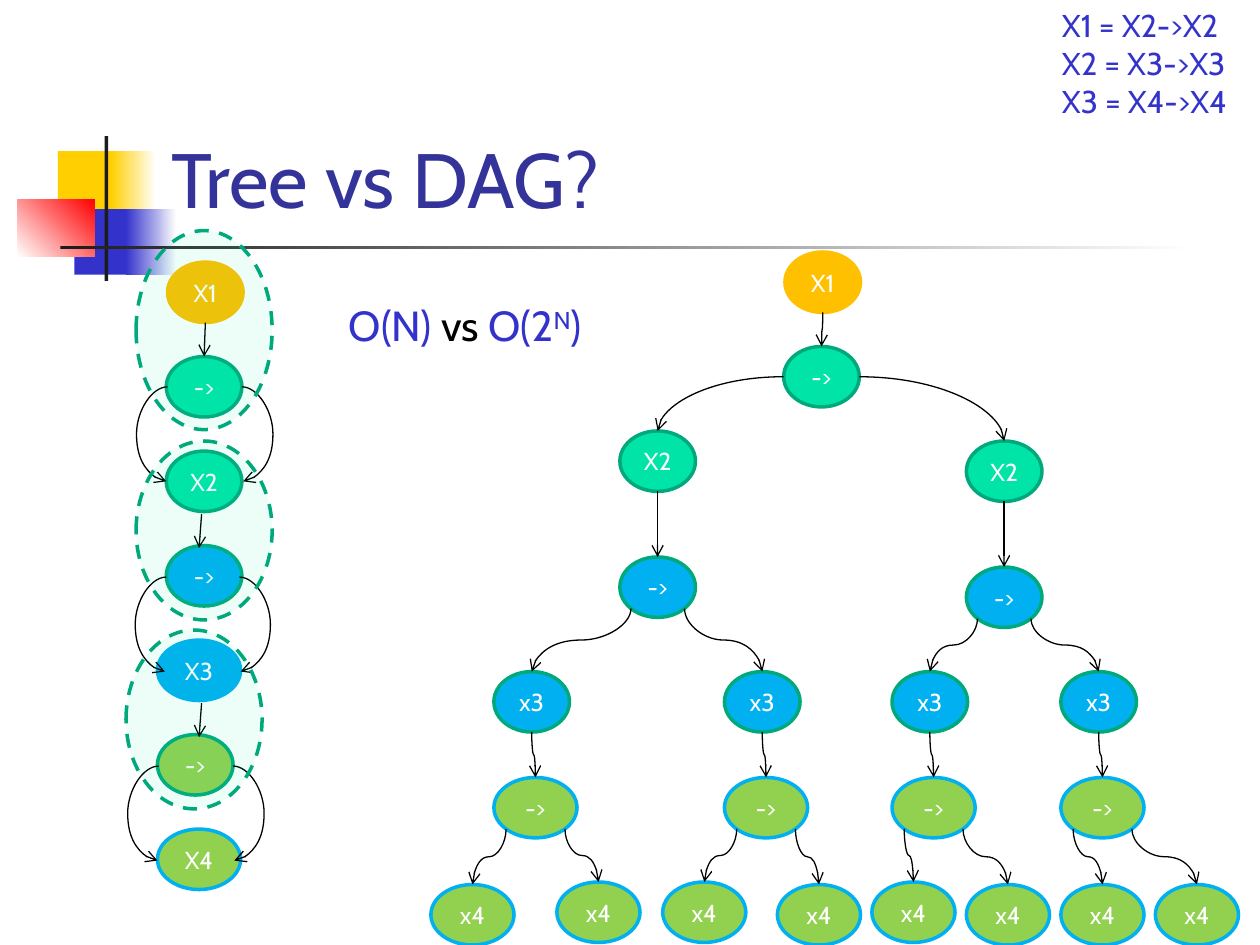
"""Build the "Tree vs DAG?" slide: a shared DAG beside its expanded tree."""
from math import sqrt

from lxml.etree import SubElement
from pptx import Presentation
from pptx.dml.color import RGBColor
from pptx.enum.dml import MSO_LINE
from pptx.enum.shapes import MSO_CONNECTOR as CONN, MSO_SHAPE as SHAPE
from pptx.enum.text import MSO_ANCHOR as ANCHOR, PP_ALIGN as ALIGN
from pptx.oxml.ns import qn
from pptx.util import Inches, Pt

FONT = "Cabin"
BLUE, NAVY, BLACK, WHITE, DARK = "3333CC", "333399", "000000", "FFFFFF", "1C1C1C"
GOLD, MINT, GREEN, SKY, LIME = "FFC000", "00E4A8", "00A97C", "00B0F0", "92D050"
YELLOW, RED = "FFCF01", "FF0000"
NODE_H, NARROW, WIDE = 0.48, 0.6, 0.66
BULGE, NUDGE = 0.25, 0.01

DECOR = [
    (0.46, 1.2, 0.48, 0.52, [YELLOW], 0),
    (0.88, 1.2, 0.36, 0.52, [YELLOW, WHITE], 0),
    (0.59, 1.66, 0.46, 0.52, [BLUE], 0),
    (1, 1.66, 0.4, 0.52, [BLUE, WHITE], 0),
    (0.14, 1.58, 0.61, 0.46, [WHITE, RED], 45),
    (0.83, 1.08, 0.03, 1.15, [DARK], 0),
    (0.48, 1.95, 9, 0.03, [DARK, WHITE], 0),
]
TEXTS = [
    ((1.26, 0.23, 8.52, 1.6), 44, ANCHOR.BOTTOM, [[("Tree vs DAG?", NAVY, 0)]]),
    ((8.33, 0, 1.67, 1.01), 18, ANCHOR.TOP,
     [[(t, BLUE, 0)] for t in ("X1 = X2->X2", "X2 = X3->X3", "X3 = X4->X4")]),
    ((2.67, 2.33, 2.25, 0.51), 24, ANCHOR.TOP,
     [[("O(N)", BLUE, 0), (" vs ", BLACK, 0), ("O(2", BLUE, 0),
       ("N", BLUE, 30000), (")", BLUE, 0)]]),
]
CHAIN_TOP, CHAIN_STEP = 2.08, 0.75
CHAIN = [
    ("X1", 1.33, NARROW, GOLD, GOLD),
    ("->", 1.32, NARROW, MINT, GREEN),
    ("X2", 1.32, NARROW, MINT, GREEN),
    ("->", 1.32, NARROW, SKY, GREEN),
    ("X3", 1.25, WIDE, SKY, SKY),
    ("->", 1.25, NARROW, LIME, GREEN),
    ("X4", 1.25, WIDE, LIME, SKY),
]
LOOPS = [(1.33, 1.92, 3.07), (1.32, 1.9, 4.58), (1.26, 1.85, 6.08)]
CHAIN_ARROWS = [(1.63, 2.56, 1.62, 2.83), (1.6, 4.08, 1.58, 4.35), (1.6, 5.58, 1.58, 5.85)]
HALOS = [(1.08, 1.83, 1.08, 1.58), (1.08, 3.5, 1.08, 1.42), (1, 5, 1.08, 1.42)]
COLUMNS = (3.92, 5.75, 7.08, 8.42)
TREE = [
    ("X1", NARROW, GOLD, GOLD, [(6.23, 2)]),
    ("->", NARROW, MINT, GREEN, [(6.22, 2.75)]),
    ("X2", NARROW, MINT, GREEN, [(4.92, 3.42), (7.67, 3.5)]),
    ("->", NARROW, SKY, GREEN, [(4.92, 4.42), (7.67, 4.5)]),
    ("x3", NARROW, SKY, GREEN, [(x, 5.33) for x in COLUMNS]),
    ("->", WIDE, LIME, SKY, [(x, 6.17) for x in COLUMNS]),
    ("x4", WIDE, LIME, SKY,
     [(3.42, 7.02), (4.42, 7), (5.26, 7), (6.17, 7.02),
      (6.92, 7), (7.67, 7.02), (8.42, 7.02), (9.17, 7.02)]),
]


def rgb(color):
    return RGBColor.from_string(color)


def add_shape(s, kind, box):
    sp = s.shapes.add_shape(kind, *map(Inches, box))
    sp.shadow.inherit = False
    return sp


def add_decor(s, x, y, w, h, colors, angle):
    sp = add_shape(s, SHAPE.RECTANGLE, (x, y, w, h))
    sp.line.fill.background()
    if len(colors) == 1:
        sp.fill.solid()
        sp.fill.fore_color.rgb = rgb(colors[0])
        return
    sp.fill.gradient()
    sp.fill.gradient_angle = angle
    for stop, position, color in zip(sp.fill.gradient_stops, (0, 1), colors):
        stop.position = position
        stop.color.rgb = rgb(color)


def style_run(r, size, color):
    r.font.name, r.font.size = FONT, Pt(size)
    r.font.color.rgb = rgb(color)


def add_text(s, box, size, anchor, paragraphs):
    tf = s.shapes.add_textbox(*map(Inches, box)).text_frame
    tf.word_wrap, tf.vertical_anchor = True, anchor
    for i, runs in enumerate(paragraphs):
        p = tf.add_paragraph() if i else tf.paragraphs[0]
        for text, color, baseline in runs:
            r = p.add_run()
            r.text = text
            style_run(r, size, color)
            if baseline:
                r.font._element.set("baseline", str(baseline))


def add_ellipse(s, box, fill, line):
    sp = add_shape(s, SHAPE.OVAL, box)
    sp.fill.solid()
    sp.fill.fore_color.rgb = rgb(fill)
    sp.line.color.rgb, sp.line.width = rgb(line), Pt(2)
    return sp


def add_node(s, label, x, y, w, fill, line):
    tf = add_ellipse(s, (x, y, w, NODE_H), fill, line).text_frame
    tf.margin_left = tf.margin_right = tf.margin_top = tf.margin_bottom = 0
    tf.word_wrap, tf.vertical_anchor = False, ANCHOR.MIDDLE
    tf.text = label
    p = tf.paragraphs[0]
    p.alignment = ALIGN.CENTER
    style_run(p.runs[0], 14, WHITE)


def add_halo(s, box):
    sp = add_ellipse(s, box, MINT, GREEN)
    sp.line.dash_style = MSO_LINE.DASH
    color = sp._element.spPr.find(qn("a:solidFill"))[0]
    SubElement(color, qn("a:alpha"), val="7000")


def add_arrow(s, kind, *ends):
    c = s.shapes.add_connector(kind, *map(Inches, ends))
    c.line.color.rgb, c.line.width = rgb(BLACK), Pt(0.75)
    SubElement(c.line._get_or_add_ln(), qn("a:tailEnd"), type="arrow")
    SubElement(c._element.spPr, qn("a:effectLst"))
    return c


def add_loop(s, x, y, side):
    c = add_arrow(s, CONN.CURVE, x, y, x + side * NUDGE, y + CHAIN_STEP)
    guides = c._element.spPr.find(qn("a:prstGeom")).get_or_add_avLst()
    SubElement(guides, qn("a:gd"), name="adj1", fmla=f"val {round(BULGE / NUDGE * 100000)}")


def add_quarter(s, *ends):
    c = add_arrow(s, CONN.CURVE, *ends)
    c._element.spPr.find(qn("a:prstGeom")).set("prst", "curvedConnector2")


def add_drop(s, x1, y1, x2, y2):
    cx, cy = (x1 + x2) / 2, (y1 + y2) / 2
    half_w, half_h = (y2 - y1) / 2, abs(x2 - x1) / 2
    c = add_arrow(s, CONN.CURVE, cx - half_w, cy - half_h, cx + half_w, cy + half_h)
    xfrm = c._element.spPr.find(qn("a:xfrm"))
    xfrm.set("rot", str((90 if x2 < x1 else 270) * 60000))
    if x2 >= x1:
        xfrm.set("flipH", "1")


def add_tree(s):
    for label, w, fill, line, spots in TREE:
        for x, y in spots:
            add_node(s, label, x, y, w, fill, line)
    for depth, (upper, lower) in enumerate(zip(TREE, TREE[1:])):
        parents, children = upper[4], lower[4]
        fan = len(children) // len(parents)
        for i, (x, y) in enumerate(children):
            px, py = parents[i // fan]
            rx, ry = upper[1] / 2, NODE_H / 2
            cx, cy = px + rx, py + ry
            side = 0 if fan == 1 else 2 * (i % fan) - 1
            end = (x + lower[1] / 2, y)
            if not side:
                add_drop(s, cx, cy + ry, *end)
            elif depth == 1:
                add_quarter(s, cx + side * rx, cy, *end)
            else:
                add_drop(s, cx + side * rx / sqrt(2), cy + ry / sqrt(2), *end)


def main():
    prs = Presentation()
    prs.slide_width, prs.slide_height = Inches(10), Inches(7.5)
    s = prs.slides.add_slide(prs.slide_layouts[6])
    for decor in DECOR:
        add_decor(s, *decor)
    for text in TEXTS:
        add_text(s, *text)
    for i, (label, x, w, fill, line) in enumerate(CHAIN):
        add_node(s, label, x, CHAIN_TOP + i * CHAIN_STEP, w, fill, line)
    for left, right, y in LOOPS:
        add_loop(s, left, y, -1)
        add_loop(s, right, y, 1)
    for ends in CHAIN_ARROWS:
        add_arrow(s, CONN.STRAIGHT, *ends)
    for box in HALOS:
        add_halo(s, box)
    add_tree(s)
    prs.save("out.pptx")


if __name__ == "__main__":
    main()
